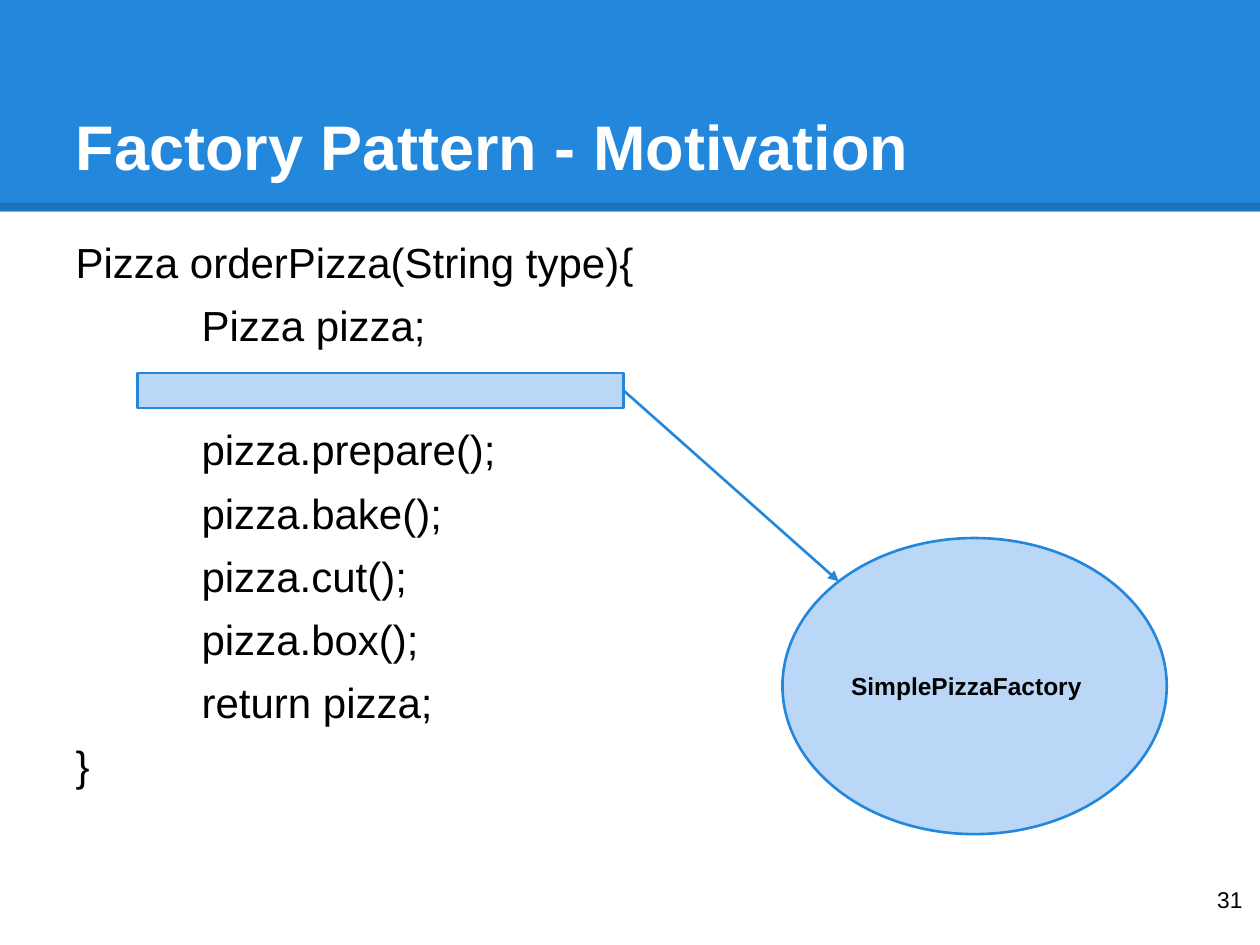
from pptx import Presentation, util as u
from pptx.dml.color import RGBColor
from pptx.enum import shapes, text
from pptx.oxml import parse_xml
from pptx.oxml.ns import nsdecls, qn
from lxml import etree
import math

BLUE = RGBColor(0x23, 0x88, 0xDB)
PALE = RGBColor(0xBB, 0xD7, 0xF8)
WHITE = RGBColor(255, 255, 255)
BLACK = RGBColor(0, 0, 0)
WIDTH, HEIGHT = 10, 7.5

# indent in inches, space before in points, wording
CODE = [
    (0, 0, "Pizza orderPizza(String type){"),
    (1, 7.25, "Pizza pizza;"),
    (1, 42, "pizza.prepare();"),
    (1, 7.25, "pizza.bake();"),
    (1, 7.25, "pizza.cut();"),
    (1, 7.25, "pizza.box();"),
    (1, 7.25, "return pizza;"),
    (0, 7.25, "}"),
]


def inches(box):
    return [u.Inches(v) for v in box]


def place(sp, box):
    sp.left, sp.top, sp.width, sp.height = inches(box)


def setup_frame(tf, anchor=text.MSO_ANCHOR.TOP):
    frame = dict(word_wrap=True, auto_size=text.MSO_AUTO_SIZE.NONE,
                 vertical_anchor=anchor)
    for side in ("left", "top", "right", "bottom"):
        frame["margin_" + side] = u.Inches(0.1)
    for name, value in frame.items():
        setattr(tf, name, value)


def write(p, words, size, color=BLACK, bold=False, align=text.PP_ALIGN.LEFT):
    p.alignment = align
    r = p.add_run()
    r.text = words
    font = dict(name="Arial", size=u.Pt(size), bold=bold)
    for name, value in font.items():
        setattr(r.font, name, value)
    r.font.color.rgb = color


def add_panel(s, kind, box, fill, line=None):
    sp = s.shapes.add_shape(kind, *inches(box))
    sp.shadow.inherit = False
    sp.fill.solid()
    sp.fill.fore_color.rgb = fill
    if line is None:
        sp.line.fill.background()
    else:
        sp.line.color.rgb = line
        sp.line.width = u.Pt(1.5)
    return sp


def add_line(s, start, end, color, width):
    line = s.shapes.add_connector(shapes.MSO_CONNECTOR.STRAIGHT,
                                  *inches((*start, *end)))
    line.line.color.rgb = color
    line.line.width = u.Pt(width)
    etree.SubElement(line._element.spPr, qn("a:effectLst"))
    return line


def header(s, box):
    x, y, w, h = box
    band = add_panel(s, shapes.MSO_SHAPE.RECTANGLE, box, BLUE)
    edge = add_line(s, (x, y + h - 0.04), (x + w, y + h - 0.04), BLACK, 4.5)
    color = edge.line._ln.find(".//" + qn("a:srgbClr"))
    etree.SubElement(color, qn("a:alpha"), val="15000")
    # Band and edge go behind the title
    for i, sp in enumerate((band, edge)):
        s.shapes._spTree.insert(2 + i, sp._element)

    title = s.shapes.title
    place(title, (x + 0.05 * w, y + 0.3, 0.9 * w, 1.25))
    setup_frame(title.text_frame, text.MSO_ANCHOR.BOTTOM)
    write(title.text_frame.paragraphs[0], "Factory Pattern - Motivation",
          36, WHITE, True)


def code_body(s, box):
    body = s.placeholders[1]
    place(body, box)
    tf = body.text_frame
    setup_frame(tf)
    for i, (indent, before, words) in enumerate(CODE):
        p = tf.paragraphs[0] if i == 0 else tf.add_paragraph()
        pPr = p._p.get_or_add_pPr()
        pPr.set("marL", str(u.Inches(indent)))
        pPr.set("indent", "0")
        etree.SubElement(pPr, qn("a:buNone"))
        p.space_before = u.Pt(before)
        write(p, words, 24)


def factory_diagram(s, box):
    x, y, w, h = box
    # Replaced code line
    slot = add_panel(s, shapes.MSO_SHAPE.RECTANGLE, (x, y, 3.86, 0.28),
                     PALE, BLUE)
    # Factory in the lower right corner
    ow, oh = 3.05, 2.35
    ox, oy = x + w - ow, y + h - oh
    oval = add_panel(s, shapes.MSO_SHAPE.OVAL, (ox, oy, ow, oh), PALE, BLUE)
    setup_frame(oval.text_frame, text.MSO_ANCHOR.MIDDLE)
    write(oval.text_frame.paragraphs[0], "SimplePizzaFactory", 14, bold=True)
    # Arrow to the oval's upper left diagonal point
    corner = (1 - math.sqrt(0.5)) / 2
    arrow = add_line(s, (x + 3.86, y + 0.14),
                     (ox + corner * ow, oy + corner * oh), BLUE, 1.5)
    arrow.begin_connect(slot, 3)
    arrow.line._ln.append(parse_xml(
        f'<a:tailEnd {nsdecls("a")} type="triangle"/>'))


def page_number(s, box):
    tf = s.shapes.add_textbox(*inches(box)).text_frame
    setup_frame(tf)
    write(tf.paragraphs[0], "31", 13, align=text.PP_ALIGN.RIGHT)


def main():
    prs = Presentation()
    prs.slide_width, prs.slide_height = inches((WIDTH, HEIGHT))
    s = prs.slides.add_slide(prs.slide_layouts[1])
    header(s, (0, 0, WIDTH, 1.68))
    code_body(s, (0.05 * WIDTH, 1.78, 0.9 * WIDTH, 5.4))
    factory_diagram(s, (1.09, 2.96, 8.17, 3.66))
    page_number(s, (WIDTH - 0.64, HEIGHT - 0.57, 0.6, 0.57))
    prs.save("out.pptx")


if __name__ == "__main__":
    main()
